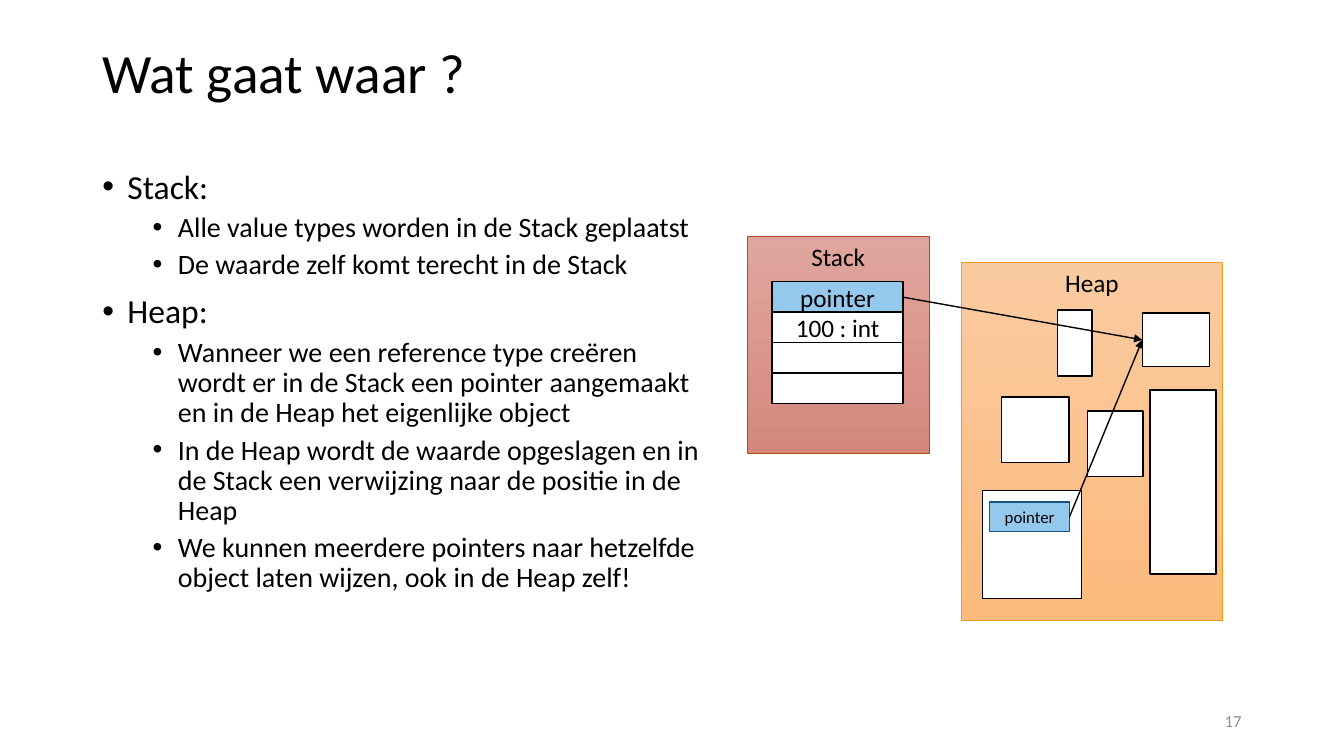
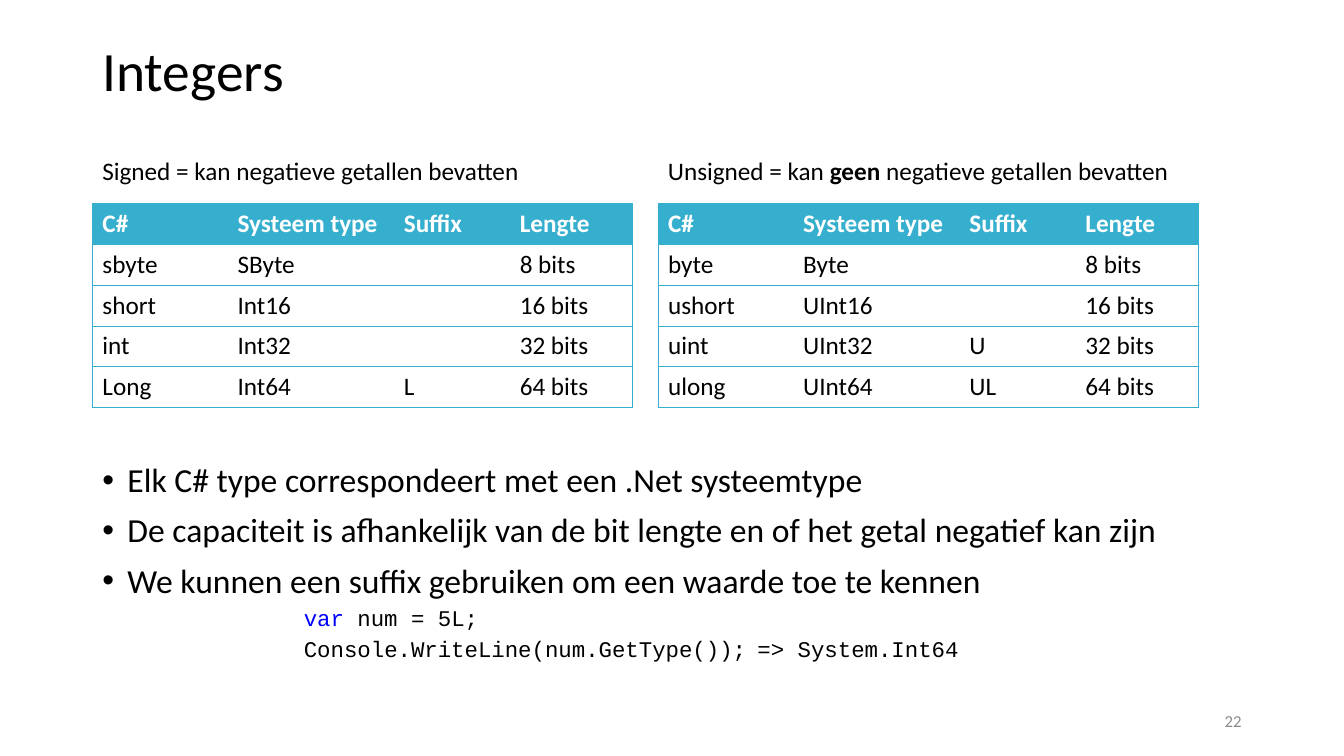
from typing import NamedTuple

from lxml import etree
from pptx import Presentation
from pptx.dml.color import RGBColor
from pptx.enum.shapes import MSO_CONNECTOR, MSO_SHAPE
from pptx.enum.text import MSO_ANCHOR, PP_ALIGN
from pptx.oxml.ns import qn
from pptx.util import Pt

RECT, STRAIGHT = MSO_SHAPE.RECTANGLE, MSO_CONNECTOR.STRAIGHT
LEFT, CENTER, RIGHT = PP_ALIGN.LEFT, PP_ALIGN.CENTER, PP_ALIGN.RIGHT
TOP, MIDDLE = MSO_ANCHOR.TOP, MSO_ANCHOR.MIDDLE

# Shared style
BODY_FONT, CODE_FONT = "Calibri", "Courier New"
BLACK, WHITE, GREY = "000000", "FFFFFF", "8C8C8C"
KEYWORD_BLUE, POINTER_BLUE, POINTER_EDGE = "0000FF", "94C8ED", "15527D"
TABLE_TEAL = "36AFCE"
MARGIN, CONTENT_WIDTH = 66, 828
TITLE_ONLY = 5


class Box(NamedTuple):
    x: float
    y: float
    w: float
    h: float


class Run(NamedTuple):
    text: str
    bold: bool = False
    color: str = BLACK


class Level(NamedTuple):
    size: float
    before: float
    indent: float
    bullet: bool = True
    font: str = BODY_FONT


class Item(NamedTuple):
    level: Level
    runs: list[Run]


class Memory(NamedTuple):
    label: str
    box: Box
    colors: tuple[str, str]
    edge: str


class IntegerTable(NamedTuple):
    x: float
    caption: list[Run]
    rows: list[tuple[str, str, str, str]]


POINT = Level(24, 10, 18)
DETAIL = Level(20, 5, 54)
CODE = Level(16, 5, 144, bullet=False, font=CODE_FONT)

# Content: stack and heap
PLACEMENT = [
    Item(POINT, [Run("Stack:")]),
    Item(DETAIL, [Run("Alle value types worden in de Stack geplaatst")]),
    Item(DETAIL, [Run("De waarde zelf komt terecht in de Stack")]),
    Item(POINT, [Run("Heap:")]),
    Item(DETAIL, [Run("Wanneer we een reference type creëren wordt er in de Stack een "
                      "pointer aangemaakt en in de Heap het eigenlijke object")]),
    Item(DETAIL, [Run("In de Heap wordt de waarde opgeslagen en in de Stack een "
                      "verwijzing naar de positie in de Heap")]),
    Item(DETAIL, [Run("We kunnen meerdere pointers naar hetzelfde object laten wijzen, "
                      "ook in de Heap zelf!")]),
]
STACK = Memory("Stack", Box(534, 169, 129.6, 155), ("E0A69E", "D4887C"), "B74919")
HEAP = Memory("Heap", Box(686.5, 187.5, 187, 255.5), ("FACBA0", "FCBA7D"), "F19D19")
STACK_CELLS = [("pointer", POINTER_BLUE), ("100 : int", WHITE), ("", WHITE), ("", WHITE)]
CELL, CELL_STEP = Box(551.5, 201.3, 93.6, 22), 21.7
TARGET = Box(816, 223.5, 48, 38.5)
HEAP_OBJECTS = [
    Box(702, 350.5, 70.5, 77),
    Box(755.5, 221.5, 24.5, 47),
    TARGET,
    Box(821.5, 278.5, 47, 131.5),
    Box(715.5, 283.5, 48, 47),
    Box(777, 293.5, 39.5, 47),
]
HEAP_POINTER = Box(707, 358.5, 57, 21)

# Content: integers
HEADINGS = ("C#", "Systeem type", "Suffix", "Lengte")
COLUMN_WIDTHS = (96.5, 118.8, 82.8, 87.8)
ROW_HEIGHT = 29.1
TABLES = [
    IntegerTable(MARGIN, [Run("Signed = kan negatieve getallen bevatten")], [
        ("sbyte", "SByte", "", "8 bits"),
        ("short", "Int16", "", "16 bits"),
        ("int", "Int32", "", "32 bits"),
        ("Long", "Int64", "L", "64 bits"),
    ]),
    IntegerTable(470, [Run("Unsigned = kan "), Run("geen", bold=True),
                       Run(" negatieve getallen bevatten")], [
        ("byte", "Byte", "", "8 bits"),
        ("ushort", "UInt16", "", "16 bits"),
        ("uint", "UInt32", "U", "32 bits"),
        ("ulong", "UInt64", "UL", "64 bits"),
    ]),
]
TYPE_NOTES = [
    Item(POINT, [Run("Elk C# type correspondeert met een .Net systeemtype")]),
    Item(POINT, [Run("De capaciteit is afhankelijk van de bit lengte en of het getal "
                     "negatief kan zijn")]),
    Item(POINT, [Run("We kunnen een suffix gebruiken om een waarde toe te kennen")]),
    Item(CODE, [Run("var ", color=KEYWORD_BLUE), Run("num = 5L;")]),
    Item(CODE, [Run("Console.WriteLine(num.GetType());\t=> System.Int64")]),
]


def rgb(color: str) -> RGBColor:
    return RGBColor.from_string(color)


def points(box: Box) -> list[Pt]:
    return [Pt(length) for length in box]


def write(paragraph, runs: list[Run], *, size: float, font: str = BODY_FONT,
          align=LEFT) -> None:
    paragraph.alignment = align
    for part in runs:
        run = paragraph.add_run()
        run.text = part.text
        run.font.name, run.font.size = font, Pt(size)
        run.font.bold = part.bold
        run.font.color.rgb = rgb(part.color)


def add_text(slide, box: Box, runs: list[Run], *, size: float, align=LEFT,
             anchor=TOP) -> None:
    frame = slide.shapes.add_textbox(*points(box)).text_frame
    frame.word_wrap = True
    frame.vertical_anchor = anchor
    write(frame.paragraphs[0], runs, size=size, align=align)


def add_list(slide, box: Box, items: list[Item]) -> None:
    frame = slide.shapes.add_textbox(*points(box)).text_frame
    frame.word_wrap = True
    for index, (level, runs) in enumerate(items):
        paragraph = frame.add_paragraph() if index else frame.paragraphs[0]
        paragraph.line_spacing = 0.9
        paragraph.space_before = Pt(level.before)
        write(paragraph, runs, size=level.size, font=level.font)
        props = paragraph._p.get_or_add_pPr()
        props.set("marL", str(Pt(level.indent)))
        props.set("indent", str(Pt(-18 if level.bullet else 0)))
        if level.bullet:
            etree.SubElement(props, qn("a:buFont"), typeface="Arial")
            etree.SubElement(props, qn("a:buChar"), char="•")


def add_rect(slide, box: Box, *, fill: str = WHITE, edge: str = BLACK, label: str = "",
             size: float = 18, anchor=MIDDLE):
    rect = slide.shapes.add_shape(RECT, *points(box))
    rect.shadow.inherit = False
    rect.fill.solid()
    rect.fill.fore_color.rgb = rgb(fill)
    rect.line.color.rgb = rgb(edge)
    rect.line.width = Pt(1)
    if label:
        rect.text_frame.vertical_anchor = anchor
        write(rect.text_frame.paragraphs[0], [Run(label)], size=size, align=CENTER)
    return rect


def add_memory(slide, memory: Memory) -> None:
    area = add_rect(slide, memory.box, edge=memory.edge, label=memory.label, anchor=TOP)
    area.line.width = Pt(0.5)
    area.fill.gradient()
    area.fill.gradient_angle = 270
    for stop, color in zip(area.fill.gradient_stops, memory.colors):
        stop.color.rgb = rgb(color)


def add_reference(slide, source: Box, target: Box) -> None:
    """Arrow from the right side of the source to the left side of the target."""
    arrow = slide.shapes.add_connector(
        STRAIGHT, Pt(source.x + source.w), Pt(source.y + source.h / 2),
        Pt(target.x), Pt(target.y + target.h / 2))
    arrow.line.color.rgb = rgb(BLACK)
    arrow.line.width = Pt(1)
    etree.SubElement(arrow.line._get_or_add_ln(), qn("a:tailEnd"), type="triangle")
    etree.SubElement(arrow._element.spPr, qn("a:effectLst"))


def set_borders(cell, sides: dict[str, bool]) -> None:
    """Draw or clear each side; sides come in the order L, R, T, B."""
    props = cell._tc.get_or_add_tcPr()
    for index, (side, drawn) in enumerate(sides.items()):
        line = etree.Element(qn(f"a:ln{side}"), w=str(Pt(0.5)))
        props.insert(index, line)
        if drawn:
            fill = etree.SubElement(line, qn("a:solidFill"))
            etree.SubElement(fill, qn("a:srgbClr"), val=TABLE_TEAL)
        else:
            etree.SubElement(line, qn("a:noFill"))


def add_integer_table(slide, content: IntegerTable) -> None:
    add_text(slide, Box(content.x, 107.3, 374, 29), content.caption, size=18)
    rows = [HEADINGS, *content.rows]
    last = len(HEADINGS) - 1
    box = Box(content.x, 145.5, sum(COLUMN_WIDTHS), ROW_HEIGHT * len(rows))
    table = slide.shapes.add_table(len(rows), len(HEADINGS), *points(box)).table
    for column, width in zip(table.columns, COLUMN_WIDTHS):
        column.width = Pt(width)
    for r, values in enumerate(rows):
        table.rows[r].height = Pt(ROW_HEIGHT)
        header = r == 0
        for c, value in enumerate(values):
            cell = table.cell(r, c)
            cell.fill.solid()
            cell.fill.fore_color.rgb = rgb(TABLE_TEAL if header else WHITE)
            set_borders(cell, {"L": c == 0, "R": c == last, "T": True, "B": True})
            run = Run(value, bold=header, color=WHITE if header else BLACK)
            write(cell.text_frame.paragraphs[0], [run], size=18)


def add_slide(prs, title: str, number: int, title_height: float):
    slide = prs.slides.add_slide(prs.slide_layouts[TITLE_ONLY])
    heading = slide.shapes.title
    heading.left, heading.top, heading.width, heading.height = points(
        Box(MARGIN, 28.8, CONTENT_WIDTH, title_height))
    heading.text_frame.vertical_anchor = MIDDLE
    paragraph = heading.text_frame.paragraphs[0]
    paragraph.line_spacing = 0.9
    write(paragraph, [Run(title)], size=39.6)
    add_text(slide, Box(678, 500.5, 216, 28.8), [Run(str(number), color=GREY)],
             size=12, align=RIGHT, anchor=MIDDLE)
    return slide


def build_memory_slide(prs) -> None:
    slide = add_slide(prs, "Wat gaat waar ?", 17, 50.4)
    add_list(slide, Box(MARGIN, 118, 443.5, 368), PLACEMENT)
    # Stack with its cells
    add_memory(slide, STACK)
    for index, (label, fill) in enumerate(STACK_CELLS):
        cell = CELL._replace(y=CELL.y + index * CELL_STEP)
        add_rect(slide, cell, fill=fill, label=label)
    # Heap with its objects
    add_memory(slide, HEAP)
    for box in HEAP_OBJECTS:
        add_rect(slide, box)
    add_rect(slide, HEAP_POINTER, fill=POINTER_BLUE, edge=POINTER_EDGE,
             label="pointer", size=12)
    # Both pointers refer to one object
    for source in (HEAP_POINTER, CELL):
        add_reference(slide, source, TARGET)


def build_integer_slide(prs) -> None:
    slide = add_slide(prs, "Integers", 22, 46.8)
    for content in TABLES:
        add_integer_table(slide, content)
    add_list(slide, Box(MARGIN, 327.6, CONTENT_WIDTH, 168), TYPE_NOTES)


def main() -> None:
    prs = Presentation()
    prs.slide_width, prs.slide_height = Pt(960), Pt(540)
    build_memory_slide(prs)
    build_integer_slide(prs)
    prs.save("out.pptx")


if __name__ == "__main__":
    main()
